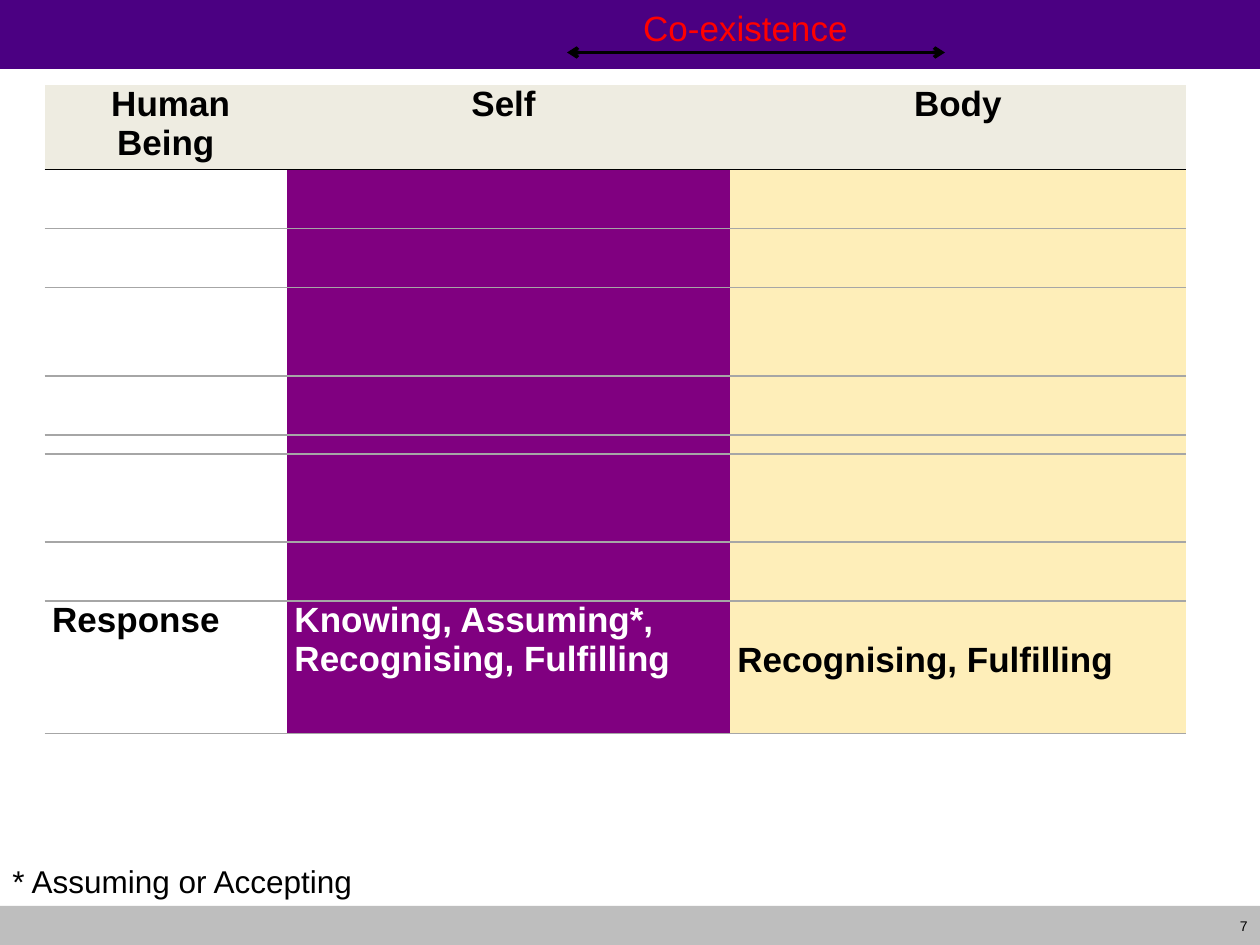
"""Builds the slide on how Self and Body respond."""
import copy

from lxml import etree
from pptx import Presentation
from pptx import util as u
from pptx.dml import color
from pptx.enum import shapes, text
from pptx.oxml import ns

HUES = {
    "band": "4B0082", "foot": "BEBEBE", "head": "EEECE1", "rule": "A6A6A6",
    "black": "000000", "white": "FFFFFF", "red": "FF0000",
    "self": "800080", "body": "FEEEB9",
}
PLAIN = "{2D5ABB26-0587-4C30-8999-92F81FD0307C}"
COLS = [138.5, 253.1, 260.6]
ROWS = [41.8, 33.8, 33.8, 50.4, 33.8, 10.8, 50.4, 33.8, 75.6]
HEADS = [" Human Being", "Self ", "Body"]
ENDS = ["Response", "Knowing, Assuming*, Recognising, Fulfilling",
        "Recognising, Fulfilling"]
FILLS = ["white", "self", "body"]
INKS = ["black", "white", "black"]
OPEN = 4
LEFT, MID, RIGHT = text.PP_ALIGN.LEFT, text.PP_ALIGN.CENTER, text.PP_ALIGN.RIGHT


def rgb(hue):
    """Return the colour that a name stands for."""
    return color.RGBColor.from_string(HUES[hue])


def write(frame, words, size=20, hue="black", bold=False, align=LEFT):
    """Put formatted words and a matching end mark in a frame."""
    para = frame.paragraphs[0]
    para.alignment = align
    run = para.add_run()
    run.text = words
    run.font.name, run.font.size, run.font.bold = "Arial", u.Pt(size), bold
    run.font.color.rgb = rgb(hue)
    mark = etree.SubElement(para._p, ns.qn("a:endParaRPr"),
                            sz=str(size * 100), b=str(int(bold)))
    for part in run._r.rPr:
        mark.append(copy.deepcopy(part))
    if not words:
        para._p.remove(run._r)


def label(slide, box, words, anchor=text.MSO_ANCHOR.TOP, **style):
    """Add a text box with formatted words."""
    frame = slide.shapes.add_textbox(*map(u.Pt, box)).text_frame
    frame.word_wrap = True
    frame.vertical_anchor = anchor
    write(frame, words, **style)


def band(slide, box, hue):
    """Add a plain filled strip."""
    strip = slide.shapes.add_shape(
        shapes.MSO_SHAPE.RECTANGLE, *map(u.Pt, box))
    strip.shadow.inherit = False
    strip.fill.solid()
    strip.fill.fore_color.rgb = rgb(hue)
    strip.line.fill.background()


def arrow(slide, x, y, span):
    """Add a level arrow with a head at both ends."""
    line = slide.shapes.add_connector(
        shapes.MSO_CONNECTOR.STRAIGHT, *map(u.Pt, (x, y, x + span, y)))
    line.line.width = u.Pt(2)
    line.line.color.rgb = rgb("black")
    pen = line.line._get_or_add_ln()
    for end in ("a:headEnd", "a:tailEnd"):
        etree.SubElement(pen, ns.qn(end), type="arrow")
    etree.SubElement(line._element.spPr, ns.qn("a:effectLst"))


def header(slide, box):
    """Draw the top strip with its link between Self and Body."""
    x, y, wide, high = box
    band(slide, box, "band")
    label(slide, (x + 354, y, 144, 31.7), "Co-existence", hue="red", align=MID)
    arrow(slide, x + 324, y + 30, 216)


def footer(slide, box):
    """Draw the bottom strip, the page number and the note above."""
    x, y, wide, high = box
    band(slide, box, "foot")
    label(slide, (x + wide - 34, y, 34, 23), "7", size=8, align=RIGHT,
          anchor=text.MSO_ANCHOR.MIDDLE)
    label(slide, (x, y - 28.8, wide, 28.8), "* Assuming or Accepting", size=18)


def edge(cell, rules):
    """Set the borders of a cell that have a rule."""
    props = cell._tc.get_or_add_tcPr()
    kept = [(side, hue) for side, hue in rules.items() if hue]
    for spot, (side, hue) in enumerate(kept):
        pen = etree.Element(ns.qn("a:" + side), w=str(u.Pt(1)))
        fill = etree.SubElement(pen, ns.qn("a:solidFill"))
        etree.SubElement(fill, ns.qn("a:srgbClr"), val=HUES[hue])
        props.insert(spot, pen)


def rule(row):
    """Name the colour of the line below a row, if there is one."""
    return {-1: None, 0: "black", OPEN: None}.get(row, "rule")


def grid(slide, x, y):
    """Draw the table of Self and Body."""
    last = len(ROWS) - 1
    box = map(u.Pt, (x, y, sum(COLS), sum(ROWS)))
    table = slide.shapes.add_table(len(ROWS), len(COLS), *box).table
    table.first_row = table.horz_banding = False
    table._tbl.tblPr.find(ns.qn("a:tableStyleId")).text = PLAIN
    for col, wide in zip(table.columns, COLS):
        col.width = u.Pt(wide)
    for r, high in enumerate(ROWS):
        table.rows[r].height = u.Pt(high)
        for c, fill in enumerate(FILLS):
            cell = table.cell(r, c)
            cell.margin_left = cell.margin_right = u.Pt(4.3)
            cell.margin_top = cell.margin_bottom = 0
            cell.fill.solid()
            cell.fill.fore_color.rgb = rgb(fill if r else "head")
            edge(cell, {"lnT": rule(r - 1), "lnB": rule(r)})
            if r == 0:
                write(cell.text_frame, HEADS[c], bold=True, align=MID)
            elif r == last:
                write(cell.text_frame, ENDS[c], hue=INKS[c], bold=True)
            else:
                write(cell.text_frame, "", size=6)
    table.cell(last, 2).margin_top = u.Pt(22.5)


def main():
    """Build and save the slide."""
    deck = Presentation()
    deck.slide_width, deck.slide_height = u.Pt(720), u.Pt(540)
    slide = deck.slides.add_slide(deck.slide_layouts[6])
    header(slide, (0, 0, 720, 39.4))
    footer(slide, (0, 517.7, 720, 23.8))
    grid(slide, 25.5, 48.7)
    deck.save("out.pptx")


if __name__ == "__main__":
    main()
